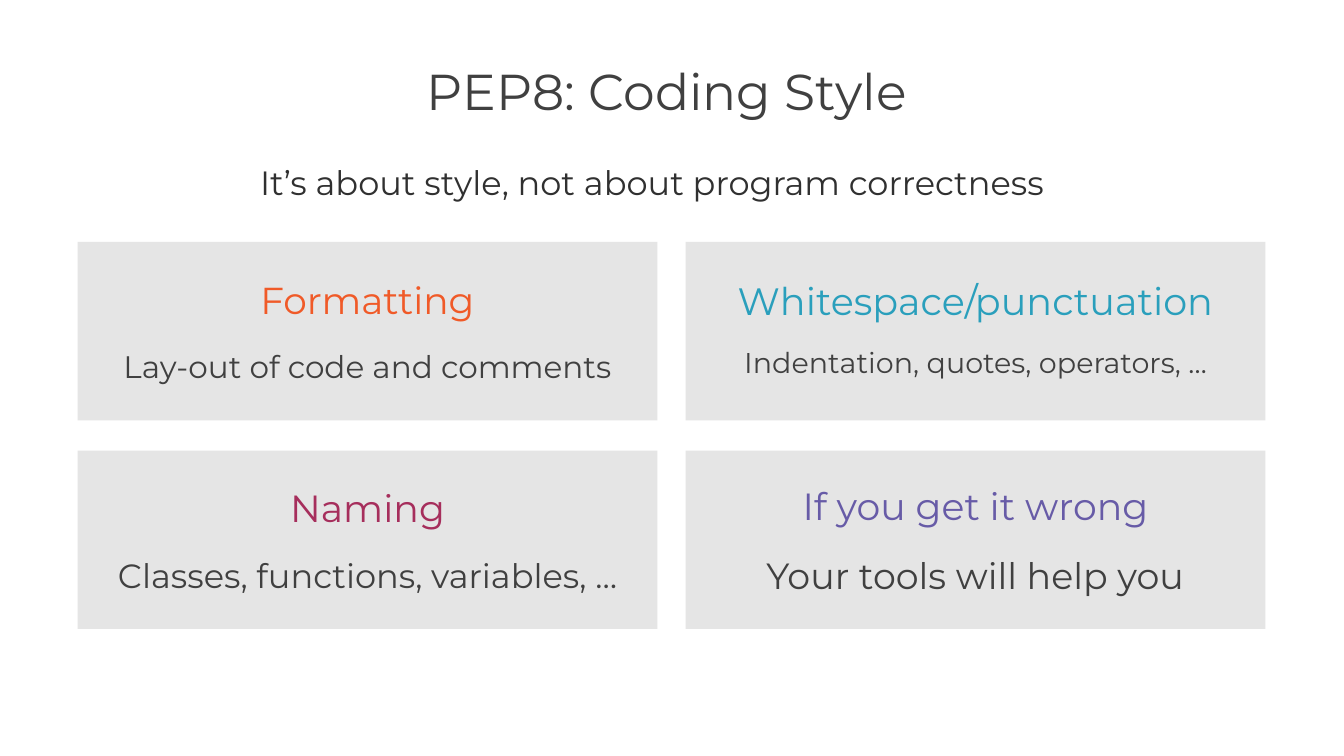
from dataclasses import dataclass

from lxml import etree
from pptx import Presentation
from pptx import util as u
from pptx.dml.color import RGBColor
from pptx.enum import text
from pptx.oxml import ns


@dataclass(frozen=True)
class Theme:
    font: str = "Montserrat"
    panel: str = "E5E5E5"
    title: str = "404040"
    subtitle: str = "303030"
    body: str = "404040"
    orange: str = "F05A28"
    blue: str = "2A9FBC"
    magenta: str = "A62E5C"
    violet: str = "675BA7"
    title_size: float = 36
    subtitle_size: float = 24


@dataclass(frozen=True)
class Grid:
    """Cell sizes and gaps in inches, counted from the top left cell."""
    left: float = 0.77
    top: float = 2.4
    width: float = 5.75
    height: float = 1.77
    column_gap: float = 0.28
    row_gap: float = 0.3

    def place(self, shape, column: int, row: int) -> None:
        set_box(shape,
                self.left + column * (self.width + self.column_gap),
                self.top + row * (self.height + self.row_gap),
                self.width, self.height)


@dataclass(frozen=True)
class Card:
    placeholder: int
    column: int
    row: int
    heading: str
    heading_size: float
    colour: str
    detail: str
    detail_size: float
    line_spacing: float = 1.0


THEME = Theme()
GRID = Grid()
BANNER_WIDTH, BANNER_HEIGHT = 11.79, 0.48
CARDS = [
    Card(1, 0, 0, "Formatting", 26.8, THEME.orange,
         "Lay-out of code and comments", 22.2),
    Card(2, 1, 0, "Whitespace/punctuation", 27.2, THEME.blue,
         "Indentation, quotes, operators, …", 20.4, 0.9),
    Card(3, 0, 1, "Naming", 27, THEME.magenta,
         "Classes, functions, variables, …", 24),
    Card(4, 1, 1, "If you get it wrong", 27, THEME.violet,
         "Your tools will help you", 26),
]


def set_box(shape, left: float, top: float, width: float, height: float) -> None:
    shape.left, shape.top = u.Inches(left), u.Inches(top)
    shape.width, shape.height = u.Inches(width), u.Inches(height)


def set_frame(frame, anchor, margins: tuple) -> None:
    """Margins run left, top, right, bottom, in inches."""
    frame.word_wrap = True
    frame.auto_size = text.MSO_AUTO_SIZE.NONE
    frame.vertical_anchor = anchor
    (frame.margin_left, frame.margin_top,
     frame.margin_right, frame.margin_bottom) = map(u.Inches, margins)


def write(paragraph, words: str, size: float, colour: str,
          line_spacing: float, space_before: float = 0) -> None:
    paragraph.text = words
    paragraph.alignment = text.PP_ALIGN.CENTER
    paragraph.line_spacing = line_spacing
    paragraph.space_before = u.Pt(space_before)
    font = paragraph.font
    font.name, font.size, font.bold = THEME.font, u.Pt(size), False
    font.color.rgb = RGBColor.from_string(colour)


def remove_bullet(paragraph) -> None:
    properties = paragraph._p.get_or_add_pPr()
    properties.set("marL", "0")
    properties.set("indent", "0")
    bullet = etree.Element(ns.qn("a:buNone"))
    properties.find(ns.qn("a:defRPr")).addprevious(bullet)


def draw_banner(shape, left: float, top: float, words: str,
                size: float, colour: str) -> None:
    set_box(shape, left, top, BANNER_WIDTH, BANNER_HEIGHT)
    set_frame(shape.text_frame, text.MSO_ANCHOR.TOP, (0, 0.05, 0.1, 0.05))
    write(shape.text_frame.paragraphs[0], words, size, colour, 0.85)


def draw_card(slide, card: Card) -> None:
    shape = slide.placeholders[card.placeholder]
    GRID.place(shape, card.column, card.row)
    shape.fill.solid()
    shape.fill.fore_color.rgb = RGBColor.from_string(THEME.panel)
    frame = shape.text_frame
    set_frame(frame, text.MSO_ANCHOR.MIDDLE, (0.3,) * 4)
    lines = [(card.heading, card.heading_size, card.colour),
             (card.detail, card.detail_size, THEME.body)]
    for paragraph, line in zip((frame.paragraphs[0], frame.add_paragraph()), lines):
        write(paragraph, *line, card.line_spacing, space_before=18)
        remove_bullet(paragraph)


def main() -> None:
    presentation = Presentation()
    presentation.slide_width = u.Inches(13.33)
    presentation.slide_height = u.Inches(7.5)
    comparison_layout = presentation.slide_layouts[4]
    slide = presentation.slides.add_slide(comparison_layout)
    for card in CARDS:
        draw_card(slide, card)
    draw_banner(slide.shapes.title, GRID.left, 0.64, "PEP8: Coding Style",
                THEME.title_size, THEME.title)
    draw_banner(slide.shapes.add_textbox(0, 0, 0, 0), 0.62, 1.62,
                "It’s about style, not about program correctness",
                THEME.subtitle_size, THEME.subtitle)
    presentation.save("out.pptx")


if __name__ == "__main__":
    main()
